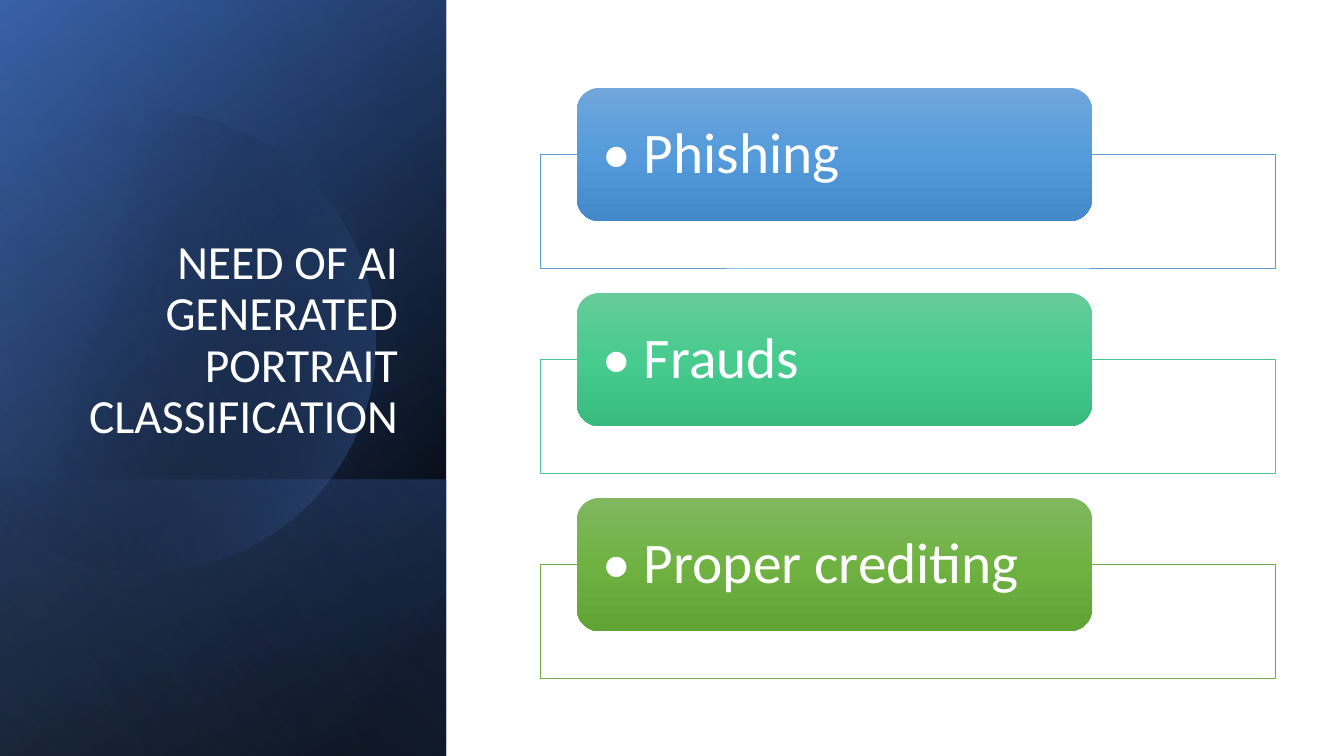
"""Build a slide with a dark gradient title panel and three stacked topic cards."""
import math
from dataclasses import dataclass

import pptx
import pptx.dml.color
import pptx.enum.shapes
import pptx.enum.text
import pptx.oxml
import pptx.oxml.ns
import pptx.util
from lxml import etree

TITLE = ["NEED OF AI GENERATED PORTRAIT", "CLASSIFICATION"]
CARDS = [
    ("• Phishing", "5B9BD5", ("71A6DB", "559BDB", "448ACA")),
    ("• Frauds", "4DC58D", ("67CC9A", "47CB8E", "39BB7F")),
    ("• Proper crediting", "70AD47", ("81B861", "6FB242", "62A336")),
]
PANEL = (0, 0, 446, 756)
PANEL_FOOT = (0, 480, 446, 276)
BASE_LAYERS = [
    (PANEL, [(8, "000000", 100), (100, "2F5597", 100)], 50),
    (PANEL, [(0, "000000", 0), (99, "4472C4", 46)], 30),
    (PANEL_FOOT, [(2, "4472C4", 29), (100, "000000", 30)], 130),
]
DISC_STOPS = [(29, "000000", 0), (100, "4472C4", 43)]
TOP_LAYER = (PANEL, [(0, "000000", 0), (99, "8FAADC", 11)], 120)


@dataclass(frozen=True)
class Theme:
    font: str = "Calibri"
    white: str = "FFFFFF"
    title_size: int = 34
    card_size: int = 41
    frame_line: float = 0.5


THEME = Theme()
SLIDE_SIZE = (1344, 756)
TITLE_BOX = (64, 185, 344, 264)
FRAME = (540, 154, 735, 114)
CARD = (577, 88, 515, 133)
CARD_PITCH = 205
CARD_INSET = 19
DISC_CENTER, DISC_RADIUS = (145, 341), 230
EMU_PER_PX = 12192000 / 1344
SHAPES = pptx.enum.shapes.MSO_SHAPE


def px(value):
    return pptx.util.Emu(round(value * EMU_PER_PX))


def color(code):
    return pptx.dml.color.RGBColor.from_string(code)


def add_box(page, preset, bounds):
    shape = page.shapes.add_shape(preset, *map(px, bounds))
    shape.shadow.inherit = False
    shape.line.fill.background()
    return shape


def set_gradient(shape, stops, angle):
    shape.fill.background()
    properties = shape._element.spPr
    gradient = pptx.oxml.parse_xml(
        f'<a:gradFill {pptx.oxml.ns.nsdecls("a")} rotWithShape="1"><a:gsLst/>'
        f'<a:lin ang="{angle * 60000}" scaled="0"/></a:gradFill>')
    for position, code, opacity in stops:
        stop = etree.SubElement(gradient[0], pptx.oxml.ns.qn("a:gs"), pos=str(position * 1000))
        tint = etree.SubElement(stop, pptx.oxml.ns.qn("a:srgbClr"), val=code)
        if opacity < 100:
            etree.SubElement(tint, pptx.oxml.ns.qn("a:alpha"), val=str(opacity * 1000))
    properties.replace(properties.find(pptx.oxml.ns.qn("a:noFill")), gradient)


def add_layer(page, bounds, stops, angle):
    left, top, width, height = bounds
    turned = (left + (width - height) / 2, top + (height - width) / 2, height, width)
    layer = add_box(page, SHAPES.RECTANGLE, turned)
    layer.rotation = 90
    layer._element.spPr.xfrm.set("flipH", "1")
    set_gradient(layer, stops, angle)


def add_disc(page):
    center_x, center_y = DISC_CENTER
    limit = math.acos(-center_x / DISC_RADIUS)
    steps = 90
    angles = [limit * (2 * step / steps - 1) for step in range(steps + 1)]
    points = [(px(center_x + DISC_RADIUS * math.cos(angle)),
               px(center_y + DISC_RADIUS * math.sin(angle))) for angle in angles]
    builder = page.shapes.build_freeform(*points[0])
    builder.add_line_segments(points[1:], close=True)
    disc = builder.convert_to_shape()
    disc.shadow.inherit = False
    disc.line.fill.background()
    set_gradient(disc, DISC_STOPS, 14)


def write_text(frame, lines, *, size, align, anchor, inset=None):
    frame.word_wrap = True
    frame.auto_size = pptx.enum.text.MSO_AUTO_SIZE.NONE
    frame.vertical_anchor = anchor
    if inset is not None:
        frame.margin_left = frame.margin_right = px(inset)
        frame.margin_top = frame.margin_bottom = 0
    for index, line in enumerate(lines):
        para = frame.paragraphs[0] if index == 0 else frame.add_paragraph()
        para.alignment = align
        para.line_spacing = 0.9
        para.space_before = pptx.util.Pt(0)
        span = para.add_run()
        span.text = line
        span.font.name = THEME.font
        span.font.size = pptx.util.Pt(size)
        span.font.color.rgb = color(THEME.white)


def place_title(page):
    title = page.shapes.title
    title.left, title.top, title.width, title.height = map(px, TITLE_BOX)
    page.shapes._spTree.append(title._element)
    write_text(title.text_frame, TITLE, size=THEME.title_size,
               align=pptx.enum.text.PP_ALIGN.RIGHT, anchor=pptx.enum.text.MSO_ANCHOR.BOTTOM)


def add_card(page, index, label, accent, shades):
    def row(bounds):
        left, top, width, height = bounds
        return left, top + index * CARD_PITCH, width, height

    frame = add_box(page, SHAPES.RECTANGLE, row(FRAME))
    frame.fill.solid()
    frame.fill.fore_color.rgb = color(THEME.white)
    frame.line.color.rgb = color(accent)
    frame.line.width = pptx.util.Pt(THEME.frame_line)
    card = add_box(page, SHAPES.ROUNDED_RECTANGLE, row(CARD))
    set_gradient(card, [(50 * step, shade, 100) for step, shade in enumerate(shades)], 90)
    write_text(card.text_frame, [label], size=THEME.card_size, inset=CARD_INSET,
               align=pptx.enum.text.PP_ALIGN.LEFT, anchor=pptx.enum.text.MSO_ANCHOR.MIDDLE)


def main():
    deck = pptx.Presentation()
    deck.slide_width, deck.slide_height = map(px, SLIDE_SIZE)
    page = deck.slides.add_slide(deck.slide_layouts[5])
    for layer in BASE_LAYERS:
        add_layer(page, *layer)
    add_disc(page)
    add_layer(page, *TOP_LAYER)
    place_title(page)
    for index, card in enumerate(CARDS):
        add_card(page, index, *card)
    deck.save("out.pptx")


if __name__ == "__main__":
    main()
